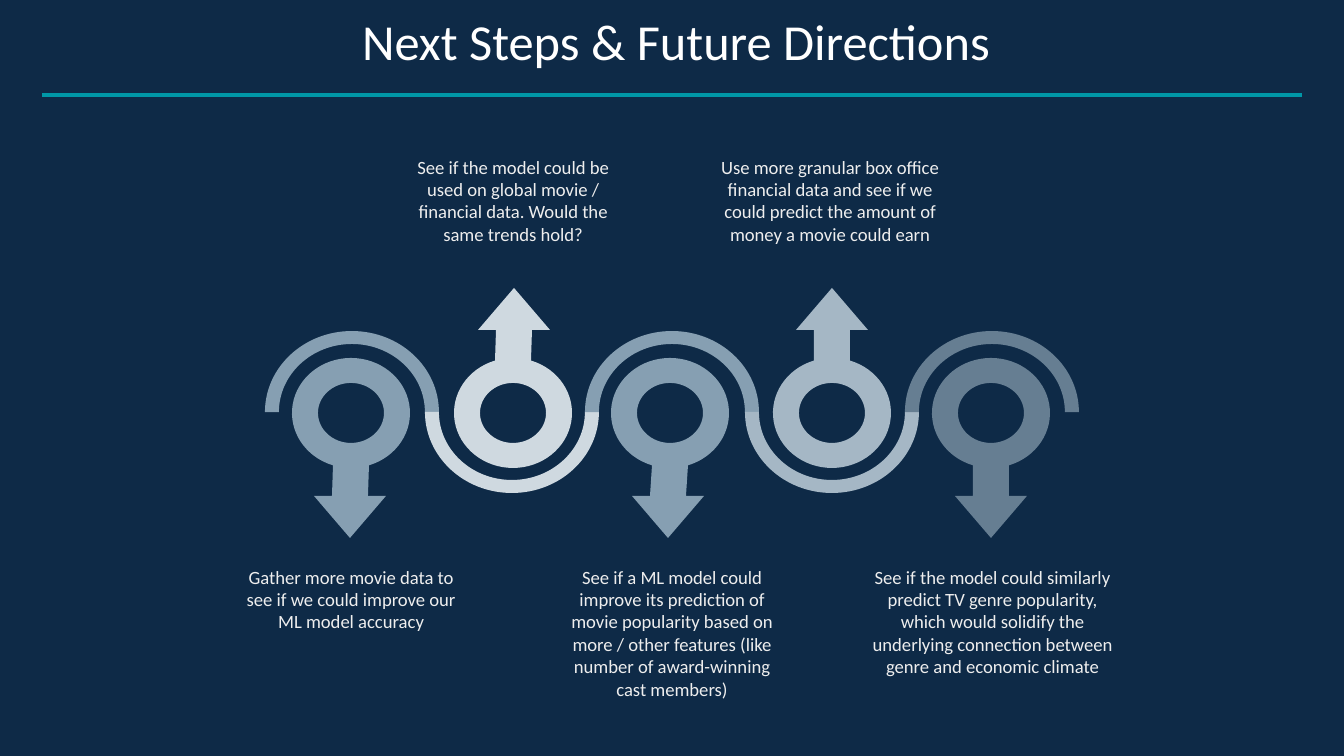
import math

import pptx
import pptx.dml.color
import pptx.enum.shapes
import pptx.enum.text
import pptx.oxml.ns
import pptx.util
from lxml import etree

PX = 914400 / 134.4

COLOURS = {
    "background": "0E2A47",
    "title": "FFFFFF",
    "body": "EEEEEE",
    "rule": "0097A7",
    "blue": "869FB2",
    "pale": "CFD9E0",
    "light": "A5B7C5",
    "slate": "667E92",
}

TITLE = "Next Steps & Future Directions"
TITLE_BOX = (8, -3, 1336, 105)
TITLE_FORMAT = {"size": pptx.util.Pt(27), "name": "Calibri"}
BODY_FORMAT = {"size": pptx.util.Pt(10), "name": "Calibri"}

# Text, text box (left, top, width, height), colour, ring centre, arrow centre
STEPS = [
    ("Gather more movie data to see if we could improve our ML model accuracy",
     (228, 552, 246, 95), "blue", 351, 350),
    ("See if the model could be used on global movie / financial data. "
     "Would the same trends hold?",
     (390, 142, 246, 118), "pale", 513, 514),
    ("See if a ML model could improve its prediction of movie popularity based on "
     "more / other features (like number of award-winning cast members)",
     (549, 552, 246, 163), "blue", 670, 668),
    ("Use more granular box office financial data and see if we could predict "
     "the amount of money a movie could earn",
     (707, 142, 246, 140), "light", 832, 832),
    ("See if the model could similarly predict TV genre popularity, which would "
     "solidify the underlying connection between genre and economic climate",
     (857, 552, 271, 163), "slate", 991, 991),
]

# Wave of half rings, and the arrowed rings inside it
FIRST_ARC, ARC_PITCH, ARC_Y = 352, 160, 412
ARC_OUTER, ARC_INNER = (87, 81), (73, 68)
RING_Y, RING_OUTER, RING_INNER = 413, (59, 55), (33, 30)
STEM, HEAD, HEAD_BASE, TIP = 18, 36, 83, 125


def emu(pixels):
    return round(pixels * PX)


def rgb(name):
    return pptx.dml.color.RGBColor.from_string(COLOURS[name])


def arc(centre, radii, side, start, end, pieces):
    """Start point, then Bezier curves; angles run from down (side 1) or up (-1)."""
    step = (end - start) / pieces
    pull = 4 / 3 * math.tan(step / 4)

    def point(angle, tangent):
        x = math.sin(angle) + tangent * math.cos(angle)
        y = math.cos(angle) - tangent * math.sin(angle)
        return centre[0] + radii[0] * x, centre[1] + side * radii[1] * y

    segments = [(point(start, 0),)]
    for index in range(pieces):
        angle = start + index * step
        segments.append((point(angle, pull), point(angle + step, -pull),
                         point(angle + step, 0)))
    return segments


def add_outline(shapes, contours, colour):
    """Draw contours whose segments hold one point (line) or three (curve)."""
    builder = None
    for contour in contours:
        points = [(emu(x), emu(y)) for segment in contour for x, y in segment]
        if builder is None:
            builder = shapes.build_freeform(*points[0])
        else:
            builder.move_to(*points[0])
        builder.add_line_segments(points[1:], close=True)
    shape = builder.convert_to_shape()

    # Join each run of three points into one curve
    lines = iter(list(shape._element.iter(pptx.oxml.ns.qn("a:lnTo"))))
    for segment in (part for contour in contours for part in contour[1:]):
        parts = [next(lines) for _ in segment]
        if len(parts) == 3:
            curve = etree.Element(pptx.oxml.ns.qn("a:cubicBezTo"))
            parts[0].addprevious(curve)
            for part in parts:
                curve.append(part[0])
                part.getparent().remove(part)

    shape.shadow.inherit = False
    shape.fill.solid()
    shape.fill.fore_color.rgb = rgb(colour)
    shape.line.fill.background()


def add_text(slide, text, box, colour, font_format):
    shape = slide.shapes.add_textbox(*map(emu, box))
    frame = shape.text_frame
    frame.word_wrap = True
    for side in ("left", "top", "right", "bottom"):
        setattr(frame, f"margin_{side}", pptx.util.Inches(0.1))
    paragraph = frame.paragraphs[0]
    paragraph.alignment = pptx.enum.text.PP_ALIGN.CENTER
    run = paragraph.add_run()
    run.text = text
    for name, value in font_format.items():
        setattr(run.font, name, value)
    run.font.color.rgb = rgb(colour)


presentation = pptx.Presentation()
presentation.slide_width = emu(1344)
presentation.slide_height = emu(756)
slide = presentation.slides.add_slide(presentation.slide_layouts[6])
slide.background.fill.solid()
slide.background.fill.fore_color.rgb = rgb("background")

# Title and rule
add_text(slide, TITLE, TITLE_BOX, "title", TITLE_FORMAT)
rule = slide.shapes.add_connector(
    pptx.enum.shapes.MSO_CONNECTOR.STRAIGHT, emu(42), emu(95), emu(1302), emu(95))
rule.line.color.rgb = rgb("rule")
rule.line.width = pptx.util.Pt(2.25)
etree.SubElement(rule._element.spPr, pptx.oxml.ns.qn("a:effectLst"))

# Half rings, alternately above and below
diagram = slide.shapes.add_group_shape()
quarter = math.pi / 2
for index, (text, box, colour, ring_x, arrow_x) in enumerate(STEPS):
    side = 1 if index % 2 else -1
    centre = (FIRST_ARC + index * ARC_PITCH, ARC_Y)
    outer = arc(centre, ARC_OUTER, side, -quarter, quarter, 2)
    inner = arc(centre, ARC_INNER, side, quarter, -quarter, 2)
    add_outline(diagram.shapes, [outer + inner], colour)

# Rings with arrows, pointing away from their half ring
stem_angle = math.asin(STEM / RING_OUTER[0])
for index, (text, box, colour, ring_x, arrow_x) in enumerate(STEPS):
    side = -1 if index % 2 else 1
    centre = (ring_x, RING_Y)
    outer = arc(centre, RING_OUTER, side, stem_angle, 2 * math.pi - stem_angle, 4)
    arrow = [((arrow_x + x, RING_Y + side * y),) for x, y in (
        (-STEM, HEAD_BASE), (-HEAD, HEAD_BASE), (0, TIP),
        (HEAD, HEAD_BASE), (STEM, HEAD_BASE))]
    hole = arc(centre, RING_INNER, side, 0, 2 * math.pi, 4)
    add_outline(diagram.shapes, [outer + arrow, hole], colour)

# Step descriptions
for text, box, colour, ring_x, arrow_x in STEPS:
    add_text(slide, text, box, "body", BODY_FORMAT)

presentation.save("out.pptx")
